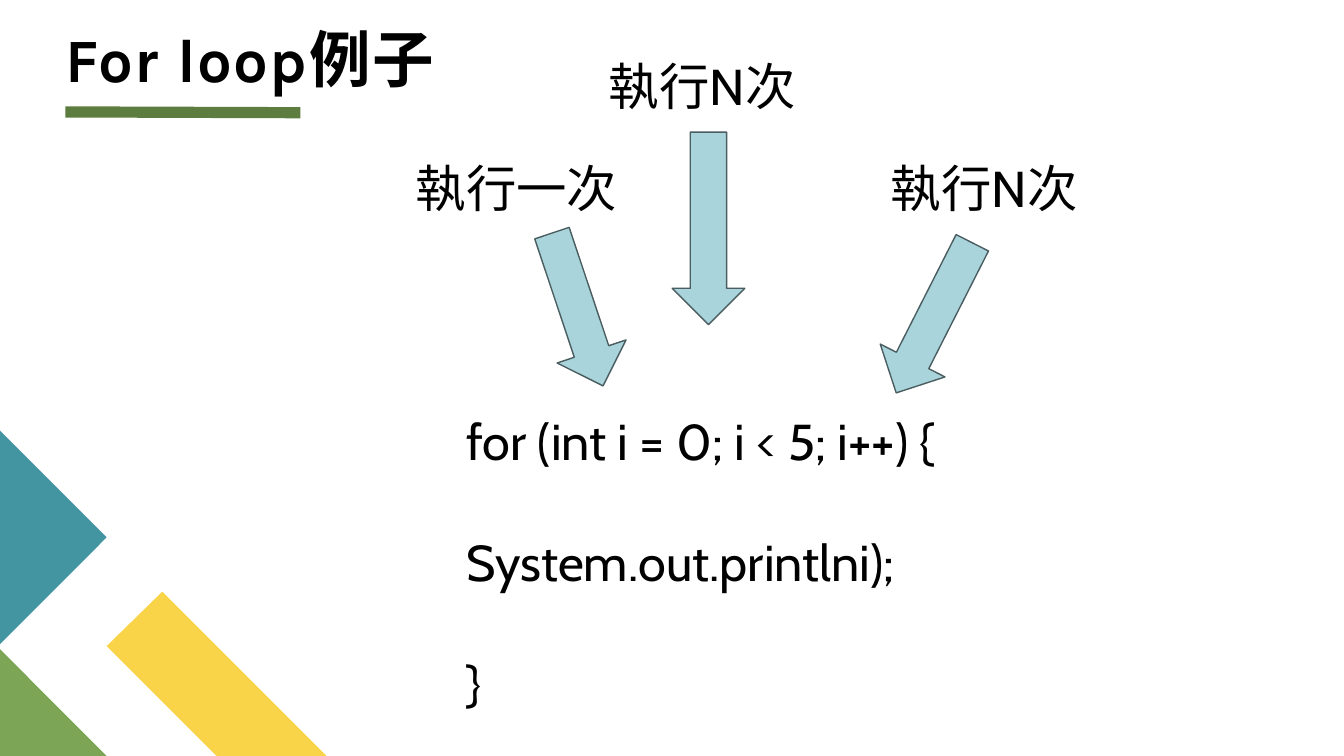
"""Build a slide that explains how often each part of a for loop runs."""
from dataclasses import dataclass

from lxml import etree
from pptx import Presentation
from pptx import util as u
from pptx.dml.color import RGBColor
from pptx.enum import shapes, text
from pptx.oxml import ns


@dataclass(frozen=True)
class Theme:
    ink: str = "000000"
    rule: str = "5D7D40"
    yellow: str = "F9D448"
    green: str = "7CA655"
    teal: str = "4495A2"
    arrow: str = "A9D4DB"
    arrow_edge: str = "4A5D60"
    title_font: str = "Karla"
    body_font: str = "Cabin"
    title_size: int = 44
    body_size: int = 36


theme = Theme()


def add_text(slide, box, words, font_name, size):
    """Add a wrapped text box and return its frame and paragraph."""
    frame = slide.shapes.add_textbox(*map(u.Cm, box)).text_frame
    frame.word_wrap = True
    frame.text = words
    paragraph = frame.paragraphs[0]
    for run in paragraph.runs:
        run.font.name = font_name
        run.font.size = u.Pt(size)
        run.font.color.rgb = RGBColor.from_string(theme.ink)
    return frame, paragraph


def paint(shape, fill, edge=None):
    """Give a shape a flat fill and an optional thin outline."""
    shape.shadow.inherit = False
    shape.fill.solid()
    shape.fill.fore_color.rgb = RGBColor.from_string(fill)
    if edge:
        shape.line.color.rgb = RGBColor.from_string(edge)
        shape.line.width = u.Pt(1)
    else:
        shape.line.fill.background()


presentation = Presentation()
presentation.slide_width = u.Cm(33.87)
presentation.slide_height = u.Cm(19.05)
slide = presentation.slides.add_slide(presentation.slide_layouts[6])

rule = slide.shapes.add_connector(
    shapes.MSO_CONNECTOR.STRAIGHT, u.Cm(1.65), u.Cm(2.82), u.Cm(7.57), u.Cm(2.84)
)
rule.line.color.rgb = RGBColor.from_string(theme.rule)
rule.line.width = u.Pt(8)
etree.SubElement(rule._element.spPr, ns.qn("a:effectLst"))

corner_pieces = [
    (theme.yellow, [(8.23, 19.05), (5.46, 19.05), (2.69, 16.28), (4.09, 14.91)]),
    (theme.green, [(2.69, 19.05), (0, 19.05), (0, 16.36)]),
    (theme.teal, [(0, 10.85), (2.69, 13.54), (0, 16.23)]),
]
for colour, corners in corner_pieces:
    points = [(u.Cm(x), u.Cm(y)) for x, y in corners]
    builder = slide.shapes.build_freeform(*points[0])
    builder.add_line_segments(points[1:], close=True)
    paint(builder.convert_to_shape(), colour)

frame, paragraph = add_text(
    slide, (1.65, 0.28, 30.2, 2.11), "For loop例子", theme.title_font, theme.title_size
)
frame.margin_left = frame.margin_right = frame.margin_top = frame.margin_bottom = 0
frame.vertical_anchor = text.MSO_ANCHOR.BOTTOM
paragraph.line_spacing = 0.8
for run in paragraph.runs:
    run.font.bold = True
    run._r.get_or_add_rPr().set("spc", "100")

frame, paragraph = add_text(
    slide,
    (11.76, 8.18, 16.97, 9.75),
    "for (int i = 0; i < 5; i++) {\vSystem.out.printlni);\v}",
    theme.body_font,
    theme.body_size,
)
frame.margin_left = frame.margin_right = frame.margin_bottom = 0
frame.margin_top = u.Cm(0.64)
paragraph.line_spacing = 2.0
paragraph.space_before = u.Pt(18)

steps = [
    ("執行一次", (9.98, 3.84), (13.64, 5.77), 4.06, 341.5),
    ("執行N次", (14.66, 1.27), (16.94, 3.33), 4.85, 0),
    ("執行N次", (21.77, 3.84), (22.63, 5.89), 4.24, 26.9),
]
for words, label_corner, arrow_corner, length, angle in steps:
    arrow = slide.shapes.add_shape(
        shapes.MSO_SHAPE.DOWN_ARROW, *map(u.Cm, (*arrow_corner, 1.83, length))
    )
    arrow.rotation = angle
    paint(arrow, theme.arrow, theme.arrow_edge)
    frame, paragraph = add_text(
        slide, (*label_corner, 6.07, 1.8), words, theme.body_font, theme.body_size
    )
    frame.auto_size = text.MSO_AUTO_SIZE.SHAPE_TO_FIT_TEXT
    paragraph.alignment = text.PP_ALIGN.CENTER

presentation.save("out.pptx")
